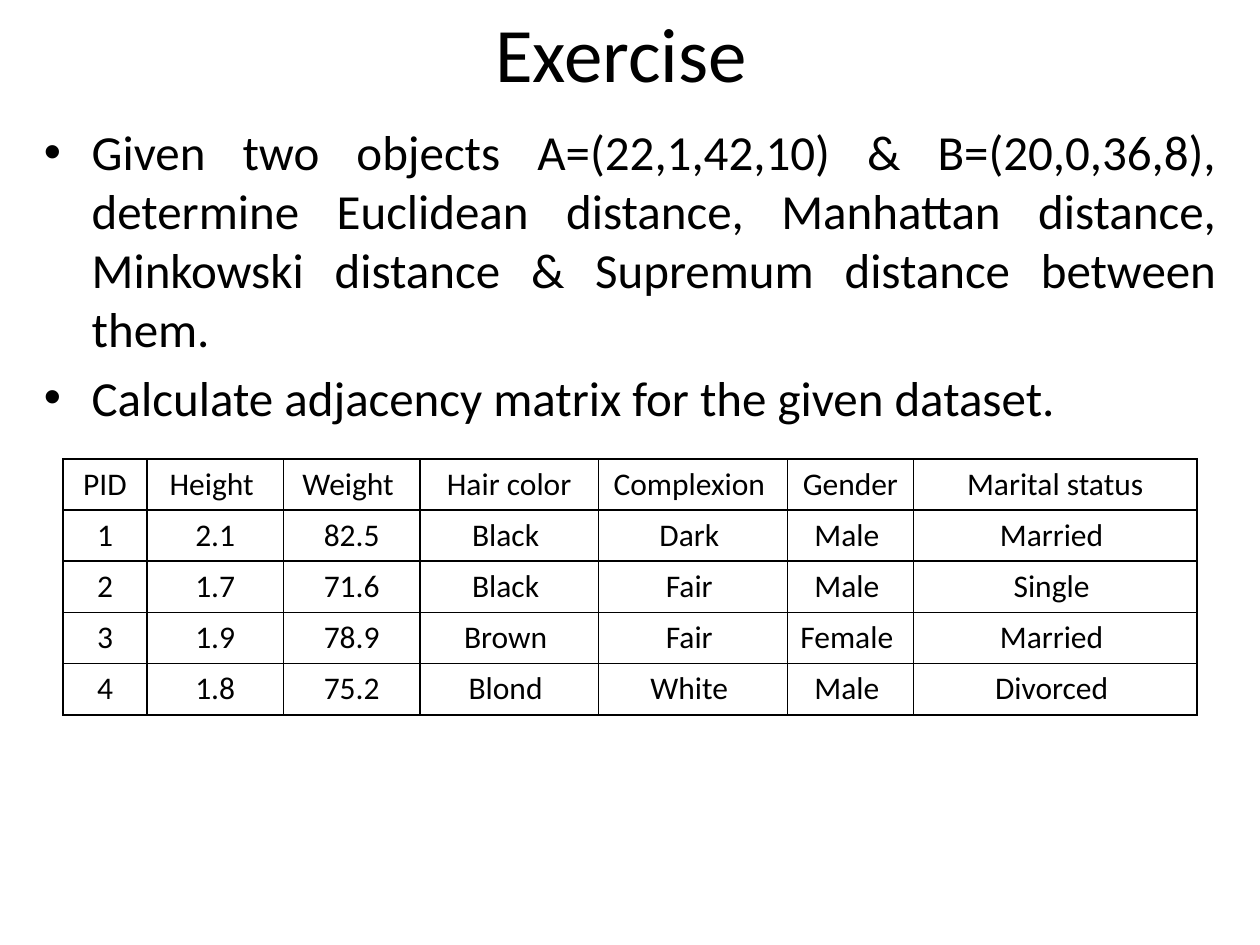
from dataclasses import dataclass

import lxml.etree
import pptx
import pptx.dml.color
import pptx.enum.text
import pptx.oxml.ns
import pptx.util

SLIDE_WIDTH = pptx.util.Inches(10)
SLIDE_HEIGHT = pptx.util.Inches(7.5)
COLORS = {"background": "FFFFFF", "ink": "000000"}
FONT = "Calibri"
ALIGN = pptx.enum.text.PP_ALIGN


@dataclass(frozen=True)
class Area:
    left: float
    top: float
    width: float
    height: float

    def lengths(self) -> tuple[int, int, int, int]:
        return (
            round(self.left * SLIDE_WIDTH),
            round(self.top * SLIDE_HEIGHT),
            round(self.width * SLIDE_WIDTH),
            round(self.height * SLIDE_HEIGHT),
        )


@dataclass(frozen=True)
class Column:
    share: float
    entries: tuple[str, ...]


TITLE_AREA = Area(0.05, 0, 0.9, 0.11)
TASKS_AREA = Area(0.025, 0.1225, 0.95, 0.3775)
DATASET_AREA = Area(0.05, 0.4855, 0.9, 0.271)

TASKS = (
    "Given two objects A=(22,1,42,10) & B=(20,0,36,8), determine Euclidean distance, "
    "Manhattan distance, Minkowski distance & Supremum distance between them.",
    "Calculate adjacency matrix for the given dataset.",
)

PATIENTS = (
    Column(8, ("PID", "1", "2", "3", "4")),
    Column(13, ("Height ", "2.1", "1.7", "1.9", "1.8")),
    Column(13, ("Weight ", "82.5", "71.6", "78.9", "75.2")),
    Column(17, ("Hair color", "Black ", "Black ", "Brown ", "Blond ")),
    Column(18, ("Complexion ", "Dark ", "Fair ", "Fair ", "White ")),
    Column(12, ("Gender ", "Male ", "Male ", "Female ", "Male ")),
    Column(27, ("Marital status", "Married ", "Single ", "Married ", "Divorced ")),
)


def color(name: str) -> pptx.dml.color.RGBColor:
    return pptx.dml.color.RGBColor.from_string(COLORS[name])


def add_child(parent, tag: str, **attributes: str):
    return lxml.etree.SubElement(parent, pptx.oxml.ns.qn(tag), attributes)


def format_paragraph(paragraph, size: int, alignment) -> None:
    paragraph.alignment = alignment
    paragraph.font.name = FONT
    paragraph.font.size = pptx.util.Pt(size)
    paragraph.font.color.rgb = color("ink")


def set_title(slide) -> None:
    title = slide.shapes.title
    title.left, title.top, title.width, title.height = TITLE_AREA.lengths()
    title.text_frame.text = "Exercise "
    title.text_frame.vertical_anchor = pptx.enum.text.MSO_ANCHOR.MIDDLE
    format_paragraph(title.text_frame.paragraphs[0], 44, ALIGN.CENTER)


def add_tasks(slide) -> None:
    frame = slide.shapes.add_textbox(*TASKS_AREA.lengths()).text_frame
    frame.word_wrap = True
    frame.text = "\n".join(TASKS)
    indent = pptx.util.Inches(0.38)
    for number, paragraph in enumerate(frame.paragraphs):
        if number:
            paragraph.space_before = pptx.util.Pt(5.6)
        properties = paragraph._p.get_or_add_pPr()
        properties.set("marL", str(indent))
        properties.set("indent", str(-indent))
        add_child(properties, "a:buFont", typeface="Arial")
        add_child(properties, "a:buChar", char="•")
        format_paragraph(paragraph, 28, ALIGN.JUSTIFY)


def add_borders(cell) -> None:
    properties = cell._tc.get_or_add_tcPr()
    for side in ("a:lnL", "a:lnR", "a:lnT", "a:lnB"):
        border = add_child(properties, side, w=str(pptx.util.Pt(1)))
        add_child(add_child(border, "a:solidFill"), "a:srgbClr", val=COLORS["ink"])


def add_dataset(slide) -> None:
    row_count = len(PATIENTS[0].entries)
    left, top, width, height = DATASET_AREA.lengths()
    table = slide.shapes.add_table(
        row_count, len(PATIENTS), left, top, width, height
    ).table
    table.first_row = False
    table.horz_banding = False
    for row in table.rows:
        row.height = height // row_count
    total_share = sum(column.share for column in PATIENTS)
    for x, column in enumerate(PATIENTS):
        table.columns[x].width = round(width * column.share / total_share)
        for y, entry in enumerate(column.entries):
            cell = table.cell(y, x)
            cell.text = entry
            add_borders(cell)
            cell.fill.background()
            format_paragraph(cell.text_frame.paragraphs[0], 18, ALIGN.CENTER)


def main() -> None:
    presentation = pptx.Presentation()
    presentation.slide_width = SLIDE_WIDTH
    presentation.slide_height = SLIDE_HEIGHT
    slide = presentation.slides.add_slide(presentation.slide_layouts[5])
    slide.background.fill.solid()
    slide.background.fill.fore_color.rgb = color("background")
    set_title(slide)
    add_tasks(slide)
    add_dataset(slide)
    presentation.save("out.pptx")


if __name__ == "__main__":
    main()
